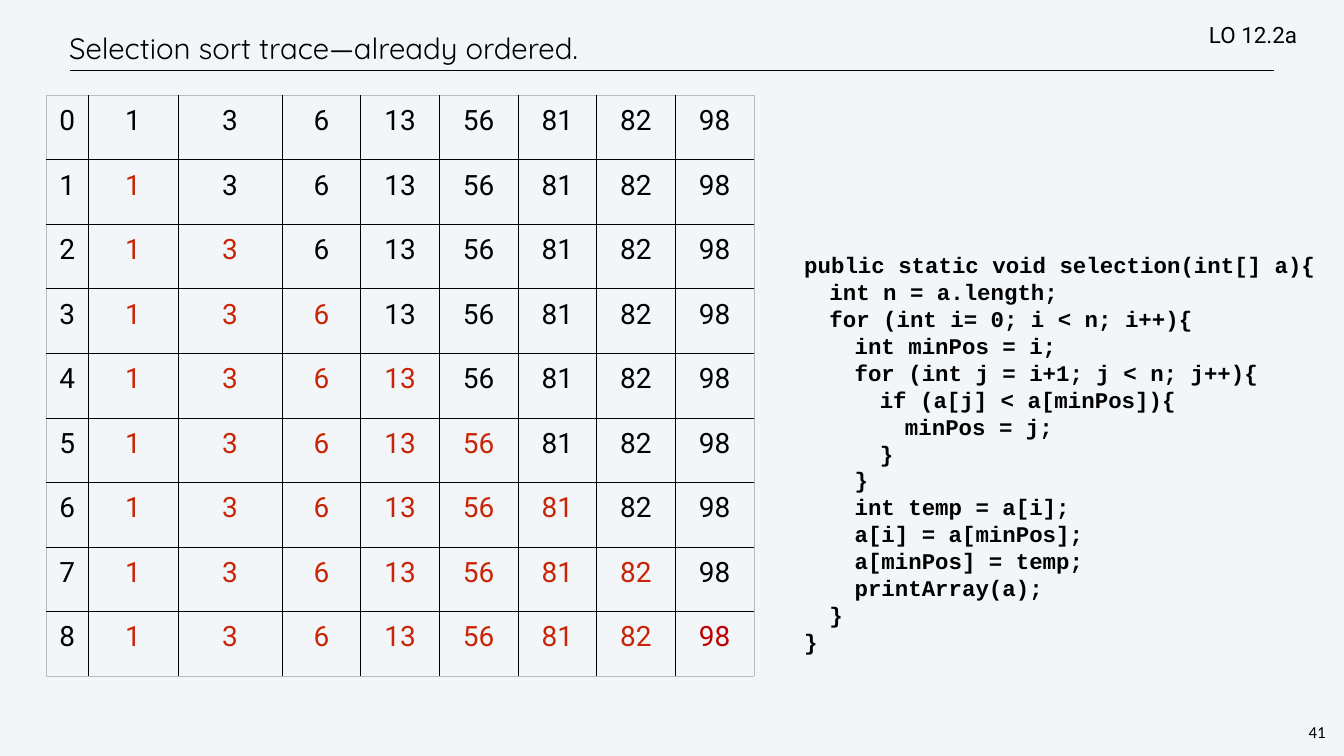
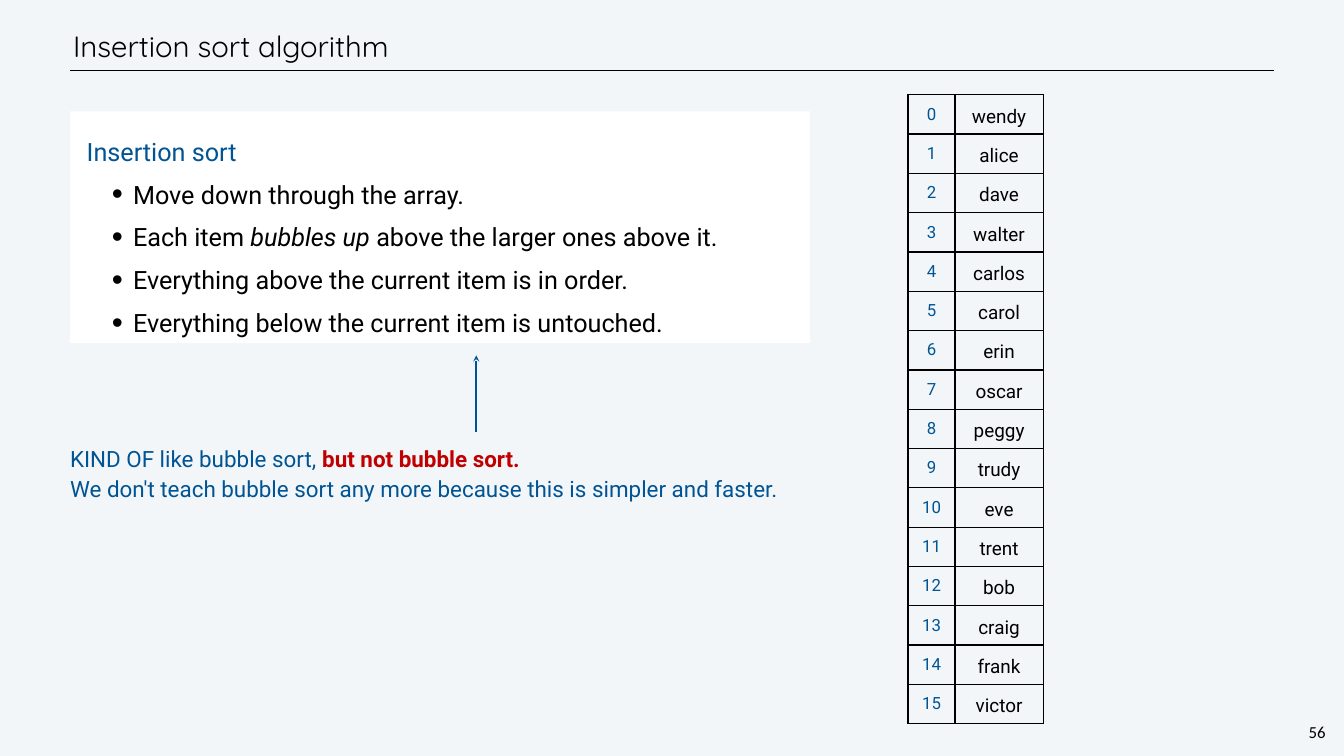
import pptx
import pptx.util
import pptx.dml.color
import pptx.enum.shapes
import pptx.enum.text
import pptx.oxml.ns
from lxml import etree

Pt = pptx.util.Pt
RGB = pptx.dml.color.RGBColor
ALIGN = pptx.enum.text.PP_ALIGN
ANCHOR = pptx.enum.text.MSO_ANCHOR
FIXED = pptx.enum.text.MSO_AUTO_SIZE.NONE
STRAIGHT = pptx.enum.shapes.MSO_CONNECTOR.STRAIGHT
qn = pptx.oxml.ns.qn

BLACK = RGB(0x00, 0x00, 0x00)
WHITE = RGB(0xFF, 0xFF, 0xFF)
PALE = RGB(0xF3, 0xF6, 0xF9)
GREY = RGB(0xB8, 0xBC, 0xBF)
BLUE = RGB(0x00, 0x54, 0x93)
RED = RGB(0xC0, 0x00, 0x00)
RUST = RGB(0xC8, 0x25, 0x06)
SANS, HEAD, MONO, PAGE = "Roboto", "Quicksand", "Courier New", "Calibri"

# The slide is a grid of 15 rows; columns are as wide as rows are high.
TALL = pptx.util.Inches(15)
UNIT = TALL // 15
WIDE = int(26.67 * UNIT)
LEFT = 1.39


def ink(para, size, color, font=SANS):
    for run in para.runs:
        run.font.size, run.font.name = Pt(size), font
        run.font.color.rgb = color


def grid(slide, left, top, cols, high, rows, line, rim):
    """Add a clear table; rim colours its outer edge."""
    frame = slide.shapes.add_table(
        len(rows), len(cols), int(left * UNIT), int(top * UNIT),
        int(sum(cols) * UNIT), int(high * len(rows) * UNIT))
    table = frame.table
    table.first_row = table.horz_banding = False
    for col, wide in zip(table.columns, cols):
        col.width = int(wide * UNIT)
    for r, row in enumerate(rows):
        table.rows[r].height = int(high * UNIT)
        for c, text in enumerate(row):
            cell = table.cell(r, c)
            cell.text = str(text)
            cell.vertical_anchor = ANCHOR.MIDDLE
            cell.text_frame.paragraphs[0].alignment = ALIGN.CENTER
            outer = {"lnL": c == 0, "lnR": c == len(cols) - 1,
                     "lnT": r == 0, "lnB": r == len(rows) - 1}
            props = cell._tc.get_or_add_tcPr()
            for side, edge in outer.items():
                ln = etree.SubElement(props, qn("a:" + side), w=str(Pt(line)))
                fill = etree.SubElement(ln, qn("a:solidFill"))
                etree.SubElement(fill, qn("a:srgbClr"),
                                 val=str(rim if edge else BLACK))
            cell.fill.background()
    return table


deck = pptx.Presentation()
deck.slide_width, deck.slide_height = WIDE, TALL
back = deck.slide_master.background.fill
back.solid()
back.fore_color.rgb = PALE

trace = deck.slides.add_slide(deck.slide_layouts[5])
insert = deck.slides.add_slide(deck.slide_layouts[1])

# Titles
for slide, text, left, top in (
        (trace, "Selection sort trace—already ordered.", 1.31, 0.45),
        (insert, "Insertion sort algorithm", LEFT, 0.42)):
    title = slide.shapes.title
    title.left, title.top = int(left * UNIT), int(top * UNIT)
    title.width, title.height = int(22.62 * UNIT), int(0.99 * UNIT)
    body = title.text_frame
    body.text = text
    body.auto_size, body.vertical_anchor = FIXED, ANCHOR.MIDDLE
    body.margin_left = body.margin_right = int(0.06 * UNIT)
    body.margin_top = body.margin_bottom = int(0.06 * UNIT)
    para = body.paragraphs[0]
    para.alignment, para.line_spacing = ALIGN.LEFT, Pt(50)
    para.space_before = Pt(0)
    ink(para, 42, BLACK, HEAD)

# Title rules and the arrow to the list
for slide, x1, y1, x2, y2, color, thick in (
        (trace, LEFT, 1.4, 25.28, 1.4, BLACK, 1),
        (insert, LEFT, 1.4, 25.28, 1.4, BLACK, 1),
        (insert, 9.45, 7.05, 9.45, 8.57, BLUE, 3)):
    link = slide.shapes.add_connector(
        STRAIGHT, *(int(n * UNIT) for n in (x1, y1, x2, y2)))
    link.line.color.rgb, link.line.width = color, Pt(thick)
    etree.SubElement(link._element.spPr, qn("a:effectLst"))
etree.SubElement(link.line._get_or_add_ln(), qn("a:headEnd"), type="stealth")

# Text boxes
CODE = """\tpublic static void selection(int[] a){
\t\tint n = a.length;
\t\tfor (int i= 0; i < n; i++){
\t\t\tint minPos = i;
\t\t\tfor (int j = i+1; j < n; j++){
\t\t\t\tif (a[j] < a[minPos]){
\t\t\t\t\tminPos = j;
\t\t\t\t}
\t\t\t}
\t\t\tint temp = a[i];
\t\t\ta[i] = a[minPos];
\t\t\ta[minPos] = temp;
\t\t\tprintArray(a);
\t\t}
\t}"""
NOTE = ("KIND OF like bubble sort, \n"
        "We don't teach bubble sort any more because this is simpler and faster.")
for slide, text, place, inset, size, color, font, pitch in (
        (trace, "41", (25.92, 14.29, 0.43, 0.47), 0.04, 24, BLACK, PAGE, 28),
        (insert, "56", (25.92, 14.29, 0.43, 0.47), 0.04, 24, BLACK, PAGE, 28),
        (trace, "LO 12.2a", (23.93, 0.37, 2.99, 0.65), 0.06, 32, BLACK, SANS, None),
        (trace, CODE, (15.36, 4.93, 10.99, 8.18), 0.1, 32, BLACK, MONO, 38.4),
        (insert, NOTE, (LEFT, 8.76, 16.1, 1.08), 0, 32, BLUE, SANS, 43)):
    box = slide.shapes.add_textbox(*(int(n * UNIT) for n in place))
    body = box.text_frame
    body.text = text
    body.word_wrap = font != PAGE
    body.margin_left = body.margin_right = int(inset * UNIT)
    body.margin_top = body.margin_bottom = int(min(inset, 0.06) * UNIT)
    if pitch is None:
        body.vertical_anchor = ANCHOR.MIDDLE
    for n, para in enumerate(body.paragraphs):
        if pitch:
            para.line_spacing = Pt(pitch)
        if font == PAGE:
            para.alignment = ALIGN.CENTER
        if text == NOTE and n:
            para.space_before = Pt(1)
        if text == CODE:
            tabs = etree.SubElement(para._p.get_or_add_pPr(), qn("a:tabLst"))
            for stop in range(1, 6):
                etree.SubElement(tabs, qn("a:tab"), pos=str(stop * UNIT // 2),
                                 algn="l")
        ink(para, size, color, font)
        for run in para.runs:
            run.font.bold = font == MONO
first = body.paragraphs[0]
first.add_run().text = "but not bubble sort."
ink(first, 32, BLUE)
first.runs[1].font.bold = True
first.runs[1].font.color.rgb = RED

# Trace of the sort: row n has its first n items in place
ITEMS = [1, 3, 6, 13, 56, 81, 82, 98]
steps = [[n] + ITEMS for n in range(len(ITEMS) + 1)]
table = grid(trace, 0.92, 1.89, [0.83, 1.78, 2.07] + [1.56] * 6, 1.28,
             steps, 1, GREY)
for r in range(len(steps)):
    for c in range(len(steps[r])):
        cell = table.cell(r, c)
        cell.margin_bottom = int(0.3 * UNIT)
        done = 0 < c <= r
        color = RED if c == len(ITEMS) else RUST
        ink(cell.text_frame.paragraphs[0], 40, color if done else BLACK)

# Names to sort
NAMES = ("wendy alice dave walter carlos carol erin oscar "
         "peggy trudy eve trent bob craig frank victor").split()
table = grid(insert, 18.02, 1.88, [0.93, 1.75], 0.78,
             list(enumerate(NAMES)), 2, BLACK)
for row in table.rows:
    for cell, inset, size, color in zip(row.cells, (0, 0.04), (24, 27),
                                        (BLUE, BLACK)):
        cell.margin_left = cell.margin_right = int(inset * UNIT)
        cell.margin_top = cell.margin_bottom = int(inset * UNIT)
        ink(cell.text_frame.paragraphs[0], size, color)
    row.cells[1].text_frame.paragraphs[0].line_spacing = Pt(38)

# List of the rules of insertion sort
card = insert.placeholders[1]
card.left, card.top = int(LEFT * UNIT), int(2.21 * UNIT)
card.width, card.height = int(14.68 * UNIT), int(4.6 * UNIT)
card.fill.solid()
card.fill.fore_color.rgb = WHITE
body = card.text_frame
body.text = "\n".join((
    "Insertion sort", "Move down through the array.", "Each item ",
    "Everything above the current item is in order.",
    "Everything below the current item is untouched."))
body.auto_size, body.vertical_anchor = FIXED, ANCHOR.TOP
body.margin_left = body.margin_right = int(0.33 * UNIT)
body.margin_top = body.margin_bottom = int(0.33 * UNIT)
item = body.paragraphs[2]
for part in ("bubbles up", " above the larger ones above it."):
    item.add_run().text = part
item.runs[1].font.italic = True
for n, para in enumerate(body.paragraphs):
    para.level = 1 if n else 0
    para.line_spacing, para.space_before = Pt(55), Pt(6 if n else 0)
    props = para._p.get_or_add_pPr()
    props.set("marL", str(int(0.92 * UNIT) if n else 0))
    props.set("indent", str(int(-0.42 * UNIT) if n else 0))
    if n:
        etree.SubElement(props, qn("a:buSzPct"), val="125000")
        etree.SubElement(props, qn("a:buChar"), char="•")
    else:
        etree.SubElement(props, qn("a:buNone"))
    ink(para, 36, BLACK if n else BLUE)

deck.save("out.pptx")
